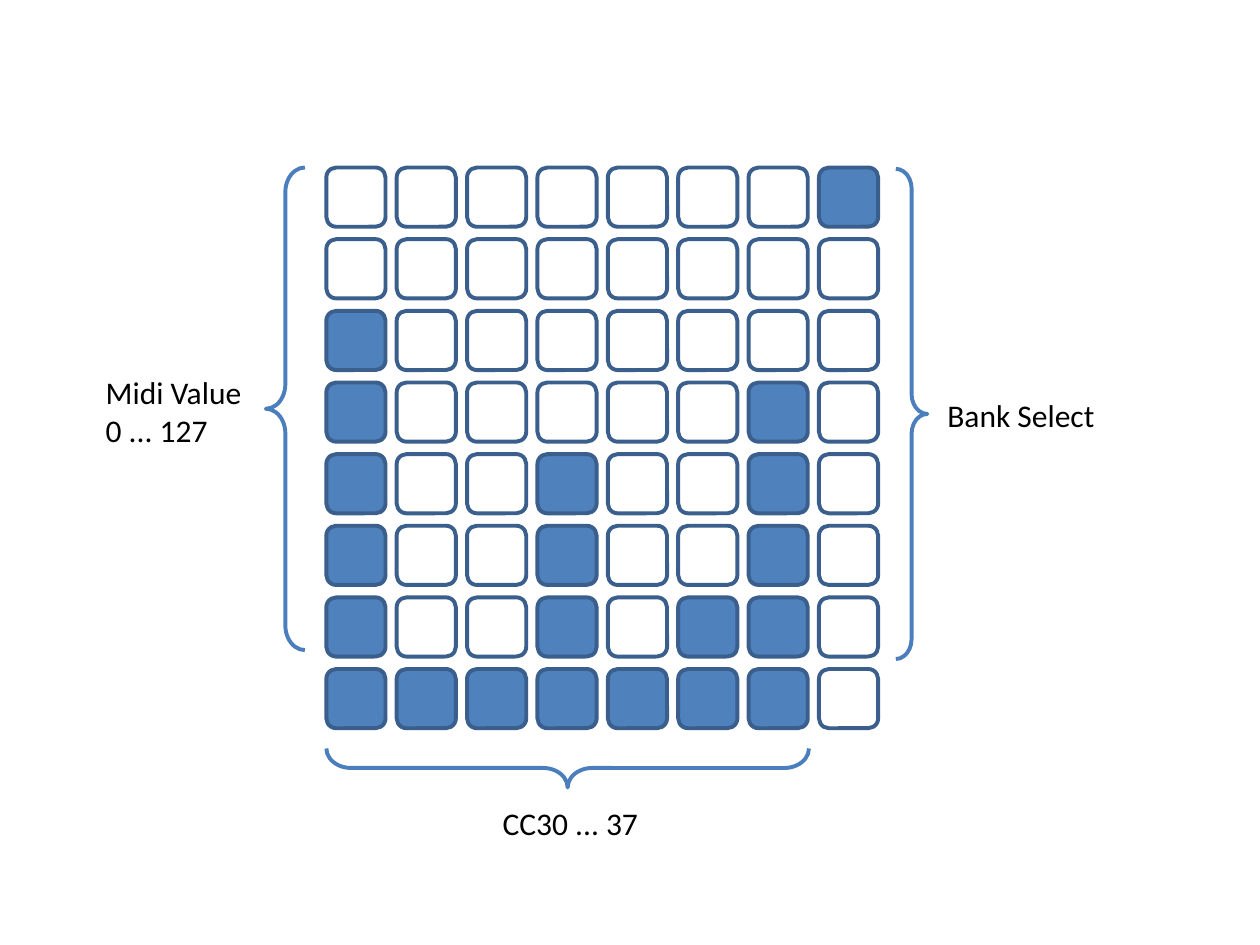
from dataclasses import dataclass

import pptx
import pptx.dml.color
import pptx.enum.shapes
import pptx.enum.text
import pptx.util

Inches = pptx.util.Inches
Pt = pptx.util.Pt
RGBColor = pptx.dml.color.RGBColor
ShapeType = pptx.enum.shapes.MSO_SHAPE

WHITE = RGBColor(0xFF, 0xFF, 0xFF)
BLACK = RGBColor(0x00, 0x00, 0x00)
PAD_BLUE = RGBColor(0x4F, 0x81, 0xBD)
PAD_EDGE = RGBColor(0x3A, 0x5F, 0x8C)
BRACE_BLUE = RGBColor(0x4B, 0x7E, 0xBC)
LINE_WIDTH = Pt(2.25)

GRID_SIZE = 8
GRID_LEFT, GRID_TOP = 2.59, 1.33
LAST_LEFT, LAST_TOP = 6.5, 5.31
PAD_SIZE = 0.47
COLUMN_PITCH = (LAST_LEFT - GRID_LEFT) / (GRID_SIZE - 1)
ROW_PITCH = (LAST_TOP - GRID_TOP) / (GRID_SIZE - 1)
FADER_HEIGHTS = (6, 1, 1, 4, 1, 2, 5)
BANK_ROW = 0

FONT_FORMAT = {"name": "Calibri", "size": Pt(18)}
FRAME_FORMAT = {
    "word_wrap": False,
    "auto_size": pptx.enum.text.MSO_AUTO_SIZE.SHAPE_TO_FIT_TEXT,
}


@dataclass(frozen=True)
class Brace:
    kind: ShapeType
    left: float
    top: float
    width: float
    height: float
    rotation: float = 0


@dataclass(frozen=True)
class Label:
    lines: tuple[str, ...]
    left: float
    top: float
    width: float
    height: float


BRACES = (
    Brace(ShapeType.RIGHT_BRACE, 7.11, 1.34, 0.25, 3.89),
    Brace(ShapeType.RIGHT_BRACE, 4.35, 4.18, 0.31, 3.83, 90),
    Brace(ShapeType.LEFT_BRACE, 2.11, 1.33, 0.31, 3.83),
)
LABELS = (
    Label(("Bank Select",), 7.42, 3.09, 1.38, 0.4),
    Label(("Midi Value", "0 ... 127"), 0.74, 2.91, 1.29, 0.71),
    Label(("CC30 ... 37",), 3.89, 6.33, 1.29, 0.4),
)


def apply_format(target: object, values: dict) -> None:
    for name, value in values.items():
        setattr(target, name, value)


def is_lit(row: int, column: int) -> bool:
    if column == GRID_SIZE - 1:
        return row == BANK_ROW
    return row >= GRID_SIZE - FADER_HEIGHTS[column]


def draw_pad(shapes, row: int, column: int) -> None:
    shape = shapes.add_shape(
        ShapeType.ROUNDED_RECTANGLE,
        Inches(GRID_LEFT + column * COLUMN_PITCH),
        Inches(GRID_TOP + row * ROW_PITCH),
        Inches(PAD_SIZE),
        Inches(PAD_SIZE),
    )
    shape.shadow.inherit = False
    shape.fill.solid()
    shape.fill.fore_color.rgb = PAD_BLUE if is_lit(row, column) else WHITE
    shape.line.color.rgb = PAD_EDGE
    shape.line.width = LINE_WIDTH


def draw_brace(shapes, brace: Brace) -> None:
    shape = shapes.add_shape(
        brace.kind,
        Inches(brace.left),
        Inches(brace.top),
        Inches(brace.width),
        Inches(brace.height),
    )
    shape.rotation = brace.rotation
    shape.adjustments[0] = 0.63
    shape.shadow.inherit = False
    shape.fill.background()
    shape.line.color.rgb = BRACE_BLUE
    shape.line.width = LINE_WIDTH


def draw_label(shapes, label: Label) -> None:
    shape = shapes.add_textbox(
        Inches(label.left), Inches(label.top), Inches(label.width), Inches(label.height)
    )
    frame = shape.text_frame
    frame.text = "\n".join(label.lines)
    apply_format(frame, FRAME_FORMAT)
    for paragraph in frame.paragraphs:
        font = paragraph.runs[0].font
        apply_format(font, FONT_FORMAT)
        font.color.rgb = BLACK


def main() -> None:
    presentation = pptx.Presentation()
    apply_format(
        presentation, {"slide_width": Inches(10), "slide_height": Inches(7.5)}
    )
    slide = presentation.slides.add_slide(presentation.slide_layouts[6])
    pad_grid = slide.shapes.add_group_shape()
    for row in range(GRID_SIZE):
        for column in range(GRID_SIZE):
            draw_pad(pad_grid.shapes, row, column)
    for brace in BRACES:
        draw_brace(slide.shapes, brace)
    for label in LABELS:
        draw_label(slide.shapes, label)
    presentation.save("out.pptx")


if __name__ == "__main__":
    main()
